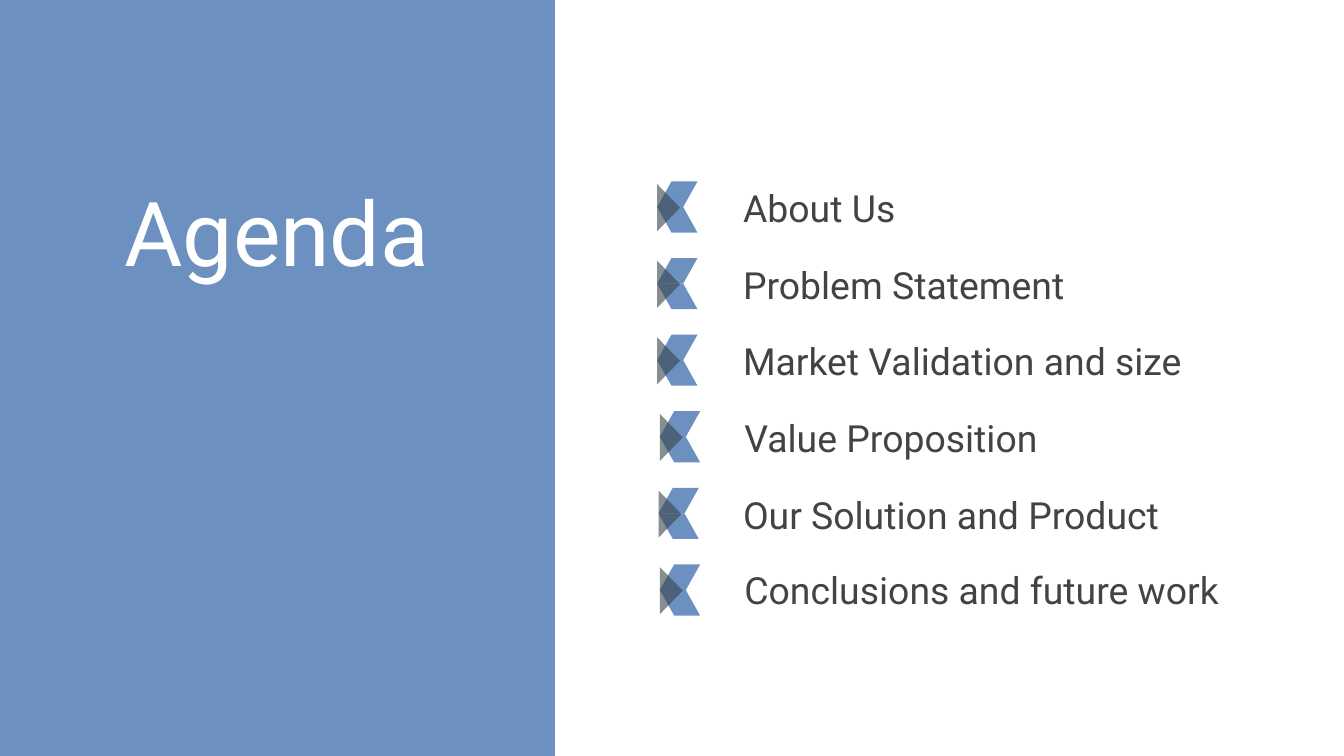
from lxml import etree
from pptx import Presentation
from pptx.dml.color import RGBColor
from pptx.enum.shapes import MSO_SHAPE
from pptx.enum.text import MSO_ANCHOR, PP_ALIGN
from pptx.oxml.ns import qn
from pptx.util import Inches, Pt

BLUE, SLATE, GREY, WHITE = "5E85B9", "38444A", "434343", "FFFFFF"
FONT = "Roboto"
TITLE = "Agenda"
# wording, marker left, text left, text width
AGENDA = [
    ("About Us", 4.89, 5.43, 3.85),
    ("Problem Statement", 4.89, 5.43, 3.85),
    ("Market Validation and size", 4.89, 5.43, 3.85),
    ("Value Proposition", 4.91, 5.44, 3.85),
    ("Our Solution and Product", 4.90, 5.43, 3.85),
    ("Conclusions and future work", 4.91, 5.44, 4.08),
]
SLIDE_WIDTH = 10
SLIDE_HEIGHT = SLIDE_WIDTH * 9 / 16
FIRST_TOP, ROW_STEP, ROW_HEIGHT = 1.29, 0.57, 0.51
MARKER_OFFSET, HALF_HEIGHT = 0.06, 0.19


def color(value):
    return RGBColor.from_string(value)


def add_filled(shapes, kind, box, fill, opacity):
    """Add a borderless shape; opacity is in percent."""
    shape = shapes.add_shape(kind, *map(Inches, box))
    shape.shadow.inherit = False
    shape.line.fill.background()
    shape.fill.solid()
    shape.fill.fore_color.rgb = color(fill)
    fill_color = shape.element.spPr.find(".//" + qn("a:srgbClr"))
    etree.SubElement(fill_color, qn("a:alpha"), val=str(opacity * 1000))
    return shape


def add_text(slide, wording, box, size, fill, align=PP_ALIGN.LEFT):
    frame = slide.shapes.add_textbox(*map(Inches, box)).text_frame
    frame.word_wrap = True
    frame.vertical_anchor = MSO_ANCHOR.MIDDLE
    frame.margin_left = frame.margin_right = Inches(0.1)
    frame.margin_top = frame.margin_bottom = Inches(0.1)
    paragraph = frame.paragraphs[0]
    paragraph.text = wording
    paragraph.alignment = align
    paragraph.font.name = FONT
    paragraph.font.size = Pt(size)
    paragraph.font.color.rgb = color(fill)


def add_marker(slide, left, top):
    """Add two mirrored parallelograms with a dark arrowhead on their left."""
    shapes = slide.shapes.add_group_shape().shapes
    for half in range(2):
        box = (left, top + half * HALF_HEIGHT, 0.3, HALF_HEIGHT)
        wing = add_filled(shapes, MSO_SHAPE.PARALLELOGRAM, box, BLUE, 91)
        wing.adjustments[0] = 0.56
        if half:
            wing.element.spPr.find(qn("a:xfrm")).set("flipH", "1")
    box = (left - 0.09, top + 0.11, 0.35, 0.17)
    arrowhead = add_filled(shapes, MSO_SHAPE.ISOSCELES_TRIANGLE, box, SLATE, 60)
    arrowhead.rotation = 90


presentation = Presentation()
presentation.slide_width = Inches(SLIDE_WIDTH)
presentation.slide_height = Inches(SLIDE_HEIGHT)
slide = presentation.slides.add_slide(presentation.slide_layouts[6])

add_filled(slide.shapes, MSO_SHAPE.RECTANGLE, (0, 0, 4.13, SLIDE_HEIGHT), BLUE, 91)
add_text(slide, TITLE, (0.1, 1.2, 3.92, 1.04), 48, WHITE, PP_ALIGN.CENTER)

for row, (wording, marker_left, text_left, width) in enumerate(AGENDA):
    top = FIRST_TOP + row * ROW_STEP
    add_marker(slide, marker_left, top + MARKER_OFFSET)
    # the last line sits slightly closer to the one above
    text_top = top - (0.01 if row == len(AGENDA) - 1 else 0)
    add_text(slide, wording, (text_left, text_top, width, ROW_HEIGHT), 20, GREY)

presentation.save("out.pptx")
